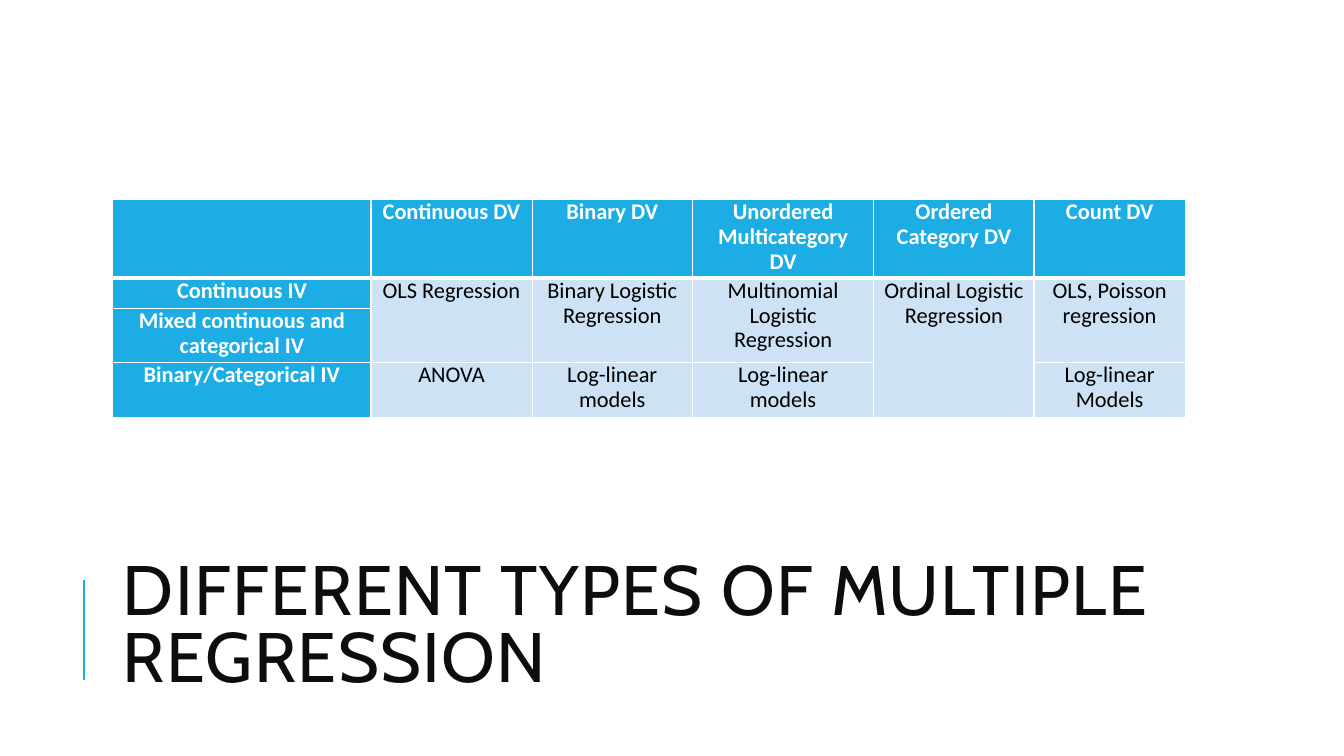
"""Build a slide with a table of multiple regression types."""
from dataclasses import dataclass

from lxml.etree import SubElement
from pptx import Presentation
from pptx.dml.color import RGBColor
from pptx.enum.shapes import MSO_CONNECTOR as Connector
from pptx.enum.text import MSO_ANCHOR as Anchor, MSO_AUTO_SIZE as AutoSize, PP_ALIGN as Align
from pptx.oxml import parse_xml
from pptx.oxml.ns import nsdecls, qn
from pptx.slide import Slide
from pptx.table import Table, _Cell as Cell
from pptx.util import Inches, Pt

COLORS = {"accent": "1CADE4", "pale": "CDE3F5", "white": "FFFFFF",
          "black": "000000", "title": "0D0D0D"}
SLIDE_WIDTH, SLIDE_HEIGHT = Inches(13.33), Inches(7.5)
GRID_COLUMNS, GRID_ROWS = 160, 90
LEFT, CONTENT_WIDTH = 13.44, 127.56
TABLE_TOP = 23.76
COLUMN_WIDTHS = (30.72, 19.2, 19.08, 21.6, 19.08, 18)
ROW_HEIGHTS = (9.36, 3.6, 6.48, 6.48)


@dataclass(frozen=True)
class Entry:
    row: int
    column: int
    text: str
    rows: int = 1

    @property
    def is_header(self) -> bool:
        return self.row == 0 or self.column == 0


ENTRIES = (
    Entry(0, 1, "Continuous DV"),
    Entry(0, 2, "Binary DV"),
    Entry(0, 3, "Unordered Multicategory DV"),
    Entry(0, 4, "Ordered Category DV"),
    Entry(0, 5, "Count DV"),
    Entry(1, 0, "Continuous IV"),
    Entry(1, 1, "OLS Regression", rows=2),
    Entry(1, 2, "Binary Logistic Regression", rows=2),
    Entry(1, 3, "Multinomial Logistic Regression", rows=2),
    Entry(1, 4, "Ordinal Logistic Regression", rows=3),
    Entry(1, 5, "OLS, Poisson regression", rows=2),
    Entry(2, 0, "Mixed continuous and categorical IV"),
    Entry(3, 0, "Binary/Categorical IV"),
    Entry(3, 1, "ANOVA"),
    Entry(3, 2, "Log-linear models"),
    Entry(3, 3, "Log-linear models"),
    Entry(3, 5, "Log-linear Models"),
)


def across(columns: float) -> int:
    return round(SLIDE_WIDTH * columns / GRID_COLUMNS)


def down(rows: float) -> int:
    return round(SLIDE_HEIGHT * rows / GRID_ROWS)


def color(name: str) -> RGBColor:
    return RGBColor.from_string(COLORS[name])


def add_title(page: Slide, text: str) -> None:
    box = page.shapes.title
    box.left, box.top = across(LEFT), down(65.04)
    box.width, box.height = across(CONTENT_WIDTH), down(19.68)
    frame = box.text_frame
    frame.text = text
    frame.word_wrap = True
    frame.auto_size = AutoSize.NONE
    frame.vertical_anchor = Anchor.MIDDLE
    para = frame.paragraphs[0]
    para.alignment = Align.LEFT
    para.line_spacing = 0.8
    span = para.runs[0]
    span.font.name, span.font.size = "Cabin", Pt(50)
    span.font.color.rgb = color("title")
    span.font._element.set("spc", "100")


def add_accent_line(page: Slide) -> None:
    line = page.shapes.add_connector(
        Connector.STRAIGHT, across(10), down(81), across(10), down(69))
    line.line.color.rgb = color("accent")
    line.line.width = Pt(1.5)
    SubElement(line._element.spPr, qn("a:effectLst"))


def style_cell(cell: Cell, row: int, column: int) -> None:
    cell.margin_left = cell.margin_right = Inches(0.1)
    cell.margin_top = cell.margin_bottom = 0
    cell.fill.solid()
    cell.fill.fore_color.rgb = color("accent" if row == 0 or column == 0 else "pale")
    widths = {"L": 1, "R": 1, "T": 3 if row == 1 else 1, "B": 3 if row == 0 else 1}
    properties = cell._tc.get_or_add_tcPr()
    for index, (side, width) in enumerate(widths.items()):
        properties.insert(index, parse_xml(
            f'<a:ln{side} {nsdecls("a")} w="{Pt(width)}"><a:solidFill>'
            f'<a:srgbClr val="{COLORS["white"]}"/></a:solidFill></a:ln{side}>'))


def fill_entry(table: Table, entry: Entry) -> None:
    cell = table.cell(entry.row, entry.column)
    if entry.rows > 1:
        cell.merge(table.cell(entry.row + entry.rows - 1, entry.column))
    cell.text_frame.text = entry.text
    para = cell.text_frame.paragraphs[0]
    para.alignment = Align.CENTER
    para.line_spacing = 0.91
    para.space_before = Pt(2.5)
    font = para.runs[0].font
    font.name, font.size, font.bold = "Calibri", Pt(16), entry.is_header
    font.color.rgb = color("white" if entry.is_header else "black")


def add_regression_table(page: Slide) -> None:
    table = page.shapes.add_table(
        len(ROW_HEIGHTS), len(COLUMN_WIDTHS), across(LEFT), down(TABLE_TOP),
        across(sum(COLUMN_WIDTHS)), down(sum(ROW_HEIGHTS))).table
    for column, width in zip(table.columns, COLUMN_WIDTHS):
        column.width = across(width)
    for row, height in zip(table.rows, ROW_HEIGHTS):
        row.height = down(height)
    for row_index, row in enumerate(table.rows):
        for column_index, cell in enumerate(row.cells):
            style_cell(cell, row_index, column_index)
    for entry in ENTRIES:
        fill_entry(table, entry)


def main() -> None:
    deck = Presentation()
    deck.slide_width, deck.slide_height = SLIDE_WIDTH, SLIDE_HEIGHT
    page = deck.slides.add_slide(deck.slide_layouts[5])
    add_title(page, "DIFFERENT TYPES OF MULTIPLE REGRESSION")
    add_accent_line(page)
    add_regression_table(page)
    deck.save("out.pptx")


if __name__ == "__main__":
    main()
